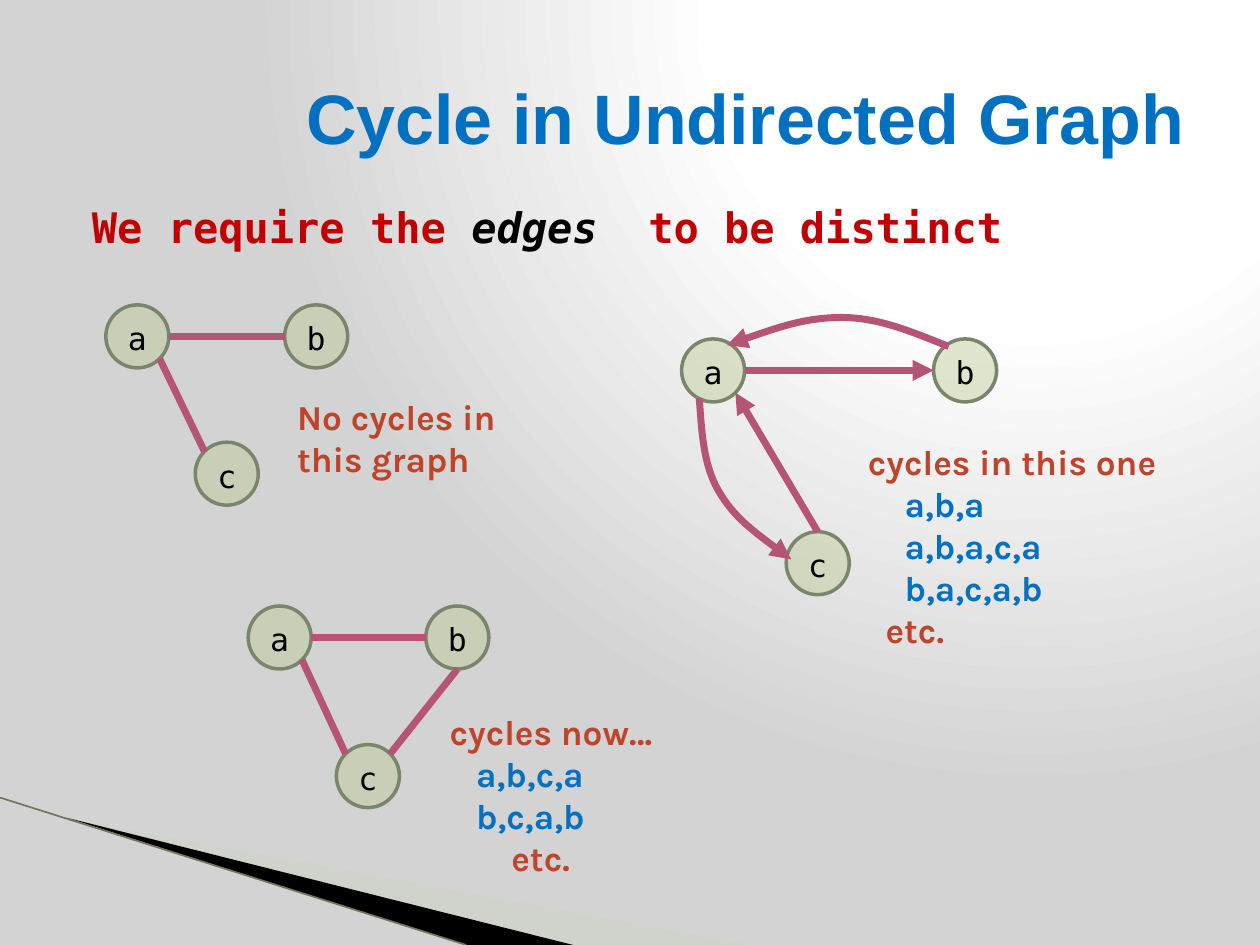
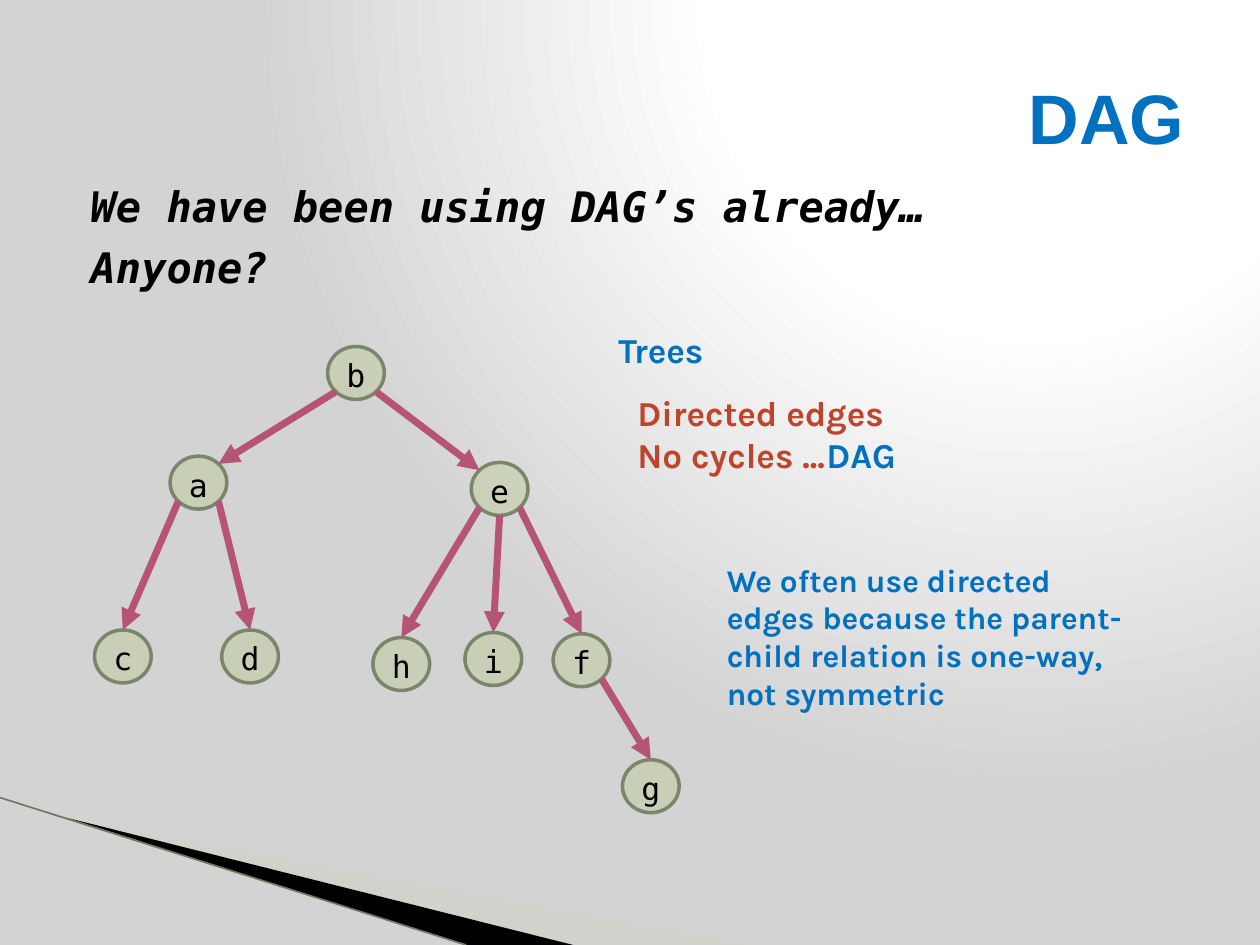
from math import cos, radians, sin

from lxml import etree
from pptx import Presentation
from pptx.dml.color import RGBColor
from pptx.enum.shapes import MSO_CONNECTOR, MSO_SHAPE
from pptx.enum.text import MSO_ANCHOR, MSO_AUTO_SIZE, PP_ALIGN
from pptx.oxml.ns import qn
from pptx.util import Inches, Pt

ELLIPSE, STRAIGHT = MSO_SHAPE.OVAL, MSO_CONNECTOR.STRAIGHT
MIDDLE, RIGHT, CENTER = MSO_ANCHOR.MIDDLE, PP_ALIGN.RIGHT, PP_ALIGN.CENTER
GROW, FIXED = MSO_AUTO_SIZE.SHAPE_TO_FIT_TEXT, MSO_AUTO_SIZE.NONE


class Theme:
    blue, rust, red, black = "0070C0", "BE442C", "C00000", "000000"
    node, node_line, edge = "BECB95", "7A866C", "B55475"
    swoosh, swoosh_line = "CBD4C0", "75755F"
    glow = [(0, "FFFFFF"), (40, "FFFFFF"), (100, "D3D3D3")]
    title_font, code_font, note_font = "Arial", "DejaVu Sans Mono", "Karla"
    title_size, lead_size, note_size, small_size = 40, 24, 20, 18


# Ellipse connection sites, counter-clockwise from the top.
SITES = ["N", "NW", "W", "SW", "S", "SE", "E", "NE"]

# Swoosh outlines: points, fill, opacity in percent
SWOOSHES = [
    ([(0.55, 6.5), (5.95, 7.5), (4.56, 7.5)], Theme.swoosh, 40),
    ([(0.53, 6.49), (4.55, 7.5), (3.7, 7.5)], Theme.black, 100),
]

# Paragraph: indent, space before, space after, runs of (text, colour[, italic])
# Graph: node size, node corners, edges (from, site, to, site), arrows, curves
SLIDES = [
    {
        "title": "Cycle in Undirected Graph",
        "lead_at": (0.51, 1.55, 9, 5.23),
        "lead": [(0.12, 6, 12, [("We require the ", Theme.red),
                                ("edges", Theme.black, True),
                                ("  to be distinct", Theme.red)])],
        "graphs": [
            {"size": (0.5, 0.5),
             "nodes": {"a": (0.84, 2.42), "b": (2.26, 2.42), "c": (1.55, 3.51)},
             "edges": [("a", "E", "b", "W"), ("a", "SE", "c", "NW")]},
            {"size": (0.5, 0.5), "arrows": True,
             "nodes": {"a": (5.41, 2.69), "b": (7.41, 2.69), "c": (6.24, 4.22)},
             "edges": [("a", "E", "b", "W"), ("c", "N", "a", "SE")],
             "curves": [
                 [(7.53, 2.75), (7.25, 2.64), (6.98, 2.52), (6.68, 2.52),
                  (6.39, 2.52), (6.08, 2.63), (5.77, 2.74)],
                 [(5.55, 3.16), (5.57, 3.42), (5.58, 3.68), (5.7, 3.89),
                  (5.82, 4.1), (6.05, 4.27), (6.28, 4.44)]]},
            {"size": (0.5, 0.5),
             "nodes": {"a": (1.97, 4.81), "b": (3.38, 4.81), "c": (2.67, 5.91)},
             "edges": [("a", "E", "b", "W"), ("a", "SE", "c", "NW"),
                       ("b", "S", "c", "NE")]},
        ],
        "notes": [
            ((2.26, 3.09, 2.24, 0.77), Theme.note_size,
             [(0, 0, 0, [("No cycles in this graph", Theme.rust)])]),
            ((6.79, 3.45, 2.82, 1.78), Theme.note_size,
             [(0, 0, 0, [("cycles in this one", Theme.rust)]),
              (0.29, 0, 0, [("a,b,a", Theme.blue)]),
              (0.29, 0, 0, [("a,b,a,c,a", Theme.blue)]),
              (0.29, 0, 0, [("b,a,c,a,b", Theme.blue)]),
              (0.14, 0, 0, [("etc.", Theme.rust)])]),
            ((3.47, 5.59, 2.69, 1.45), Theme.note_size,
             [(0, 0, 0, [("cycles now…", Theme.rust)]),
              (0.21, 0, 0, [("a,b,c,a", Theme.blue)]),
              (0.21, 0, 0, [("b,c,a,b", Theme.blue)]),
              (0.49, 0, 0, [("etc.", Theme.rust)])]),
        ],
    },
    {
        "title": "DAG",
        "lead_at": (0.5, 1.38, 9, 5.23),
        "lead": [(0.12, 6, 0, [(line, Theme.black, True)]) for line in
                 ("We have been using DAG’s already…", "Anyone?")],
        "graphs": [
            {"size": (0.45, 0.42), "arrows": True,
             "nodes": {"b": (2.6, 2.75), "a": (1.35, 3.62), "e": (3.74, 3.67),
                       "c": (0.75, 5), "d": (1.76, 5), "h": (2.96, 5.06),
                       "i": (3.69, 5.02), "f": (4.39, 5.03), "g": (4.94, 6.03)},
             "edges": [("b", "SW", "a", "NE"), ("b", "SE", "e", "NW"),
                       ("a", "SW", "c", "N"), ("a", "SE", "d", "N"),
                       ("e", "SW", "h", "N"), ("e", "S", "i", "N"),
                       ("e", "SE", "f", "N"), ("f", "SE", "g", "N")]},
        ],
        "notes": [
            ((4.81, 2.56, 3.84, 1.28), Theme.note_size,
             [(0, 0, 0, [("Trees", Theme.blue)]),
              (0.15, 12, 0, [("Directed edges", Theme.rust)]),
              (0.15, 0, 6, [("No cycles ...\t", Theme.rust), ("DAG", Theme.blue)])]),
            ((5.67, 4.4, 3.66, 1.31), Theme.small_size,
             [(0, 0, 0, [(line, Theme.blue)]) for line in
              ("We often use directed", "edges because the parent-",
               "child relation is one-way,", "not symmetric")]),
        ],
    },
]
TAB_STOP = 1.92


def rgb(colour):
    return RGBColor.from_string(colour)


def place(shape, at):
    shape.left, shape.top, shape.width, shape.height = map(Inches, at)


def add_run(paragraph, text, font, size, colour, bold=True, italic=False):
    run = paragraph.add_run()
    run.text = text
    run.font.name, run.font.size = font, Pt(size)
    run.font.bold, run.font.italic = bold, italic
    run.font.color.rgb = rgb(colour)


def write(frame, paragraphs, font, size):
    for i, (indent, before, after, runs) in enumerate(paragraphs):
        paragraph = frame.add_paragraph() if i else frame.paragraphs[0]
        paragraph.space_before, paragraph.space_after = Pt(before), Pt(after)
        props = paragraph._p.get_or_add_pPr()
        props.set("marL", str(Inches(indent)))
        props.set("indent", "0")
        etree.SubElement(props, qn("a:buNone"))
        if any("\t" in run[0] for run in runs):
            tabs = etree.SubElement(props, qn("a:tabLst"))
            etree.SubElement(tabs, qn("a:tab"), pos=str(Inches(TAB_STOP)), algn="l")
        for text, colour, *italic in runs:
            add_run(paragraph, text, font, size, colour, italic=bool(italic))


def fill_shape(shape, colour, opacity):
    shape.shadow.inherit = False
    shape.fill.solid()
    shape.fill.fore_color.rgb = rgb(colour)
    tint = shape._element.spPr.find(qn("a:solidFill")).find(qn("a:srgbClr"))
    etree.SubElement(tint, qn("a:alpha"), val=str(opacity * 1000))


def stroke(shape, colour, width, arrow=False):
    shape.line.color.rgb = rgb(colour)
    shape.line.width = Pt(width)
    if arrow:
        etree.SubElement(shape._element.spPr.find(qn("a:ln")), qn("a:tailEnd"), type="triangle")


def add_line(shapes, start, end, colour, width, arrow=False):
    line = shapes.add_connector(STRAIGHT, *map(Inches, start + end))
    stroke(line, colour, width, arrow)
    etree.SubElement(line._element.spPr, qn("a:effectLst"))
    return line


def add_outline(shapes, points, close):
    start, *rest = [tuple(map(Inches, point)) for point in points]
    builder = shapes.build_freeform(*start)
    builder.add_line_segments(rest, close=close)
    return builder.convert_to_shape()


def add_curve(shapes, points):
    """Draw an arrow of cubic Béziers, three points to each after the first."""
    curve = add_outline(shapes, points, close=False)
    curve.shadow.inherit = False
    curve.fill.background()
    stroke(curve, Theme.edge, 4, arrow=True)
    outline = next(curve._element.iter(qn("a:path")))
    segments = outline.findall(qn("a:lnTo"))
    for i in range(0, len(segments), 3):
        bezier = etree.SubElement(outline, qn("a:cubicBezTo"))
        for segment in segments[i:i + 3]:
            bezier.append(segment[0])
            outline.remove(segment)


def site_point(corner, size, site):
    angle = radians(90 + 45 * SITES.index(site))
    (x, y), (w, h) = corner, size
    return x + w / 2 * (1 + cos(angle)), y + h / 2 * (1 - sin(angle))


def add_graph(slide, graph):
    shapes = slide.shapes.add_group_shape().shapes
    size, corners, arrows = graph["size"], graph["nodes"], graph.get("arrows", False)
    nodes = {}
    for label, corner in corners.items():
        node = nodes[label] = shapes.add_shape(ELLIPSE, *map(Inches, corner + size))
        fill_shape(node, Theme.node, 45)
        stroke(node, Theme.node_line, 2)
        frame = node.text_frame
        frame.margin_left = frame.margin_right = frame.margin_bottom = 0
        frame.margin_top = Inches(0.03)
        frame.vertical_anchor = MIDDLE
        frame.paragraphs[0].alignment = CENTER
        add_run(frame.paragraphs[0], label, Theme.code_font, Theme.small_size,
                Theme.black, bold=False)
    for start, start_site, end, end_site in graph["edges"]:
        edge = add_line(shapes, site_point(corners[start], size, start_site),
                        site_point(corners[end], size, end_site), Theme.edge, 4, arrows)
        joints = edge._element.find(".//" + qn("p:cNvCxnSpPr"))
        for tag, label, site in (("a:stCxn", start, start_site), ("a:endCxn", end, end_site)):
            etree.SubElement(joints, qn(tag), id=str(nodes[label].shape_id),
                             idx=str(SITES.index(site)))
    for points in graph.get("curves", []):
        add_curve(shapes, points)


def set_glow(master):
    """Give the master a circular gradient that shines from the upper right."""
    master.background.fill.solid()
    backdrop = master.element.find(".//" + qn("p:bgPr"))
    backdrop.remove(backdrop.find(qn("a:solidFill")))
    gradient = etree.Element(qn("a:gradFill"), rotWithShape="1")
    stops = etree.SubElement(gradient, qn("a:gsLst"))
    for percent, colour in Theme.glow:
        stop = etree.SubElement(stops, qn("a:gs"), pos=str(percent * 1000))
        etree.SubElement(stop, qn("a:srgbClr"), val=colour)
    circle = etree.SubElement(gradient, qn("a:path"), path="circle")
    etree.SubElement(circle, qn("a:fillToRect"), l="65000", t="0", r="0", b="98000")
    backdrop.insert(0, gradient)


def add_swooshes(slide):
    for points, colour, opacity in SWOOSHES:
        swoosh = add_outline(slide.shapes, points, close=True)
        fill_shape(swoosh, colour, opacity)
        swoosh.line.fill.background()
    add_line(slide.shapes, (0, 6.33), (3.7, 7.5), Theme.swoosh_line, 0.95)


def add_slide(prs, content):
    slide = prs.slides.add_slide(prs.slide_layouts[1])
    title, lead = slide.placeholders
    place(title, (0.5, 0.3, 9, 1.25))
    title.text_frame.auto_size = FIXED
    title.text_frame.vertical_anchor = MIDDLE
    heading = title.text_frame.paragraphs[0]
    heading.alignment = RIGHT
    add_run(heading, content["title"], Theme.title_font, Theme.title_size, Theme.blue)

    place(lead, content["lead_at"])
    lead.text_frame.auto_size = FIXED
    write(lead.text_frame, content["lead"], Theme.code_font, Theme.lead_size)

    add_swooshes(slide)
    for graph in content["graphs"]:
        add_graph(slide, graph)
    for at, size, paragraphs in content["notes"]:
        note = slide.shapes.add_textbox(*map(Inches, at)).text_frame
        note.word_wrap = True
        note.auto_size = GROW
        write(note, paragraphs, Theme.note_font, size)


def main():
    prs = Presentation()
    prs.slide_width, prs.slide_height = Inches(10), Inches(7.5)
    set_glow(prs.slide_master)
    for content in SLIDES:
        add_slide(prs, content)
    prs.save("out.pptx")


if __name__ == "__main__":
    main()
